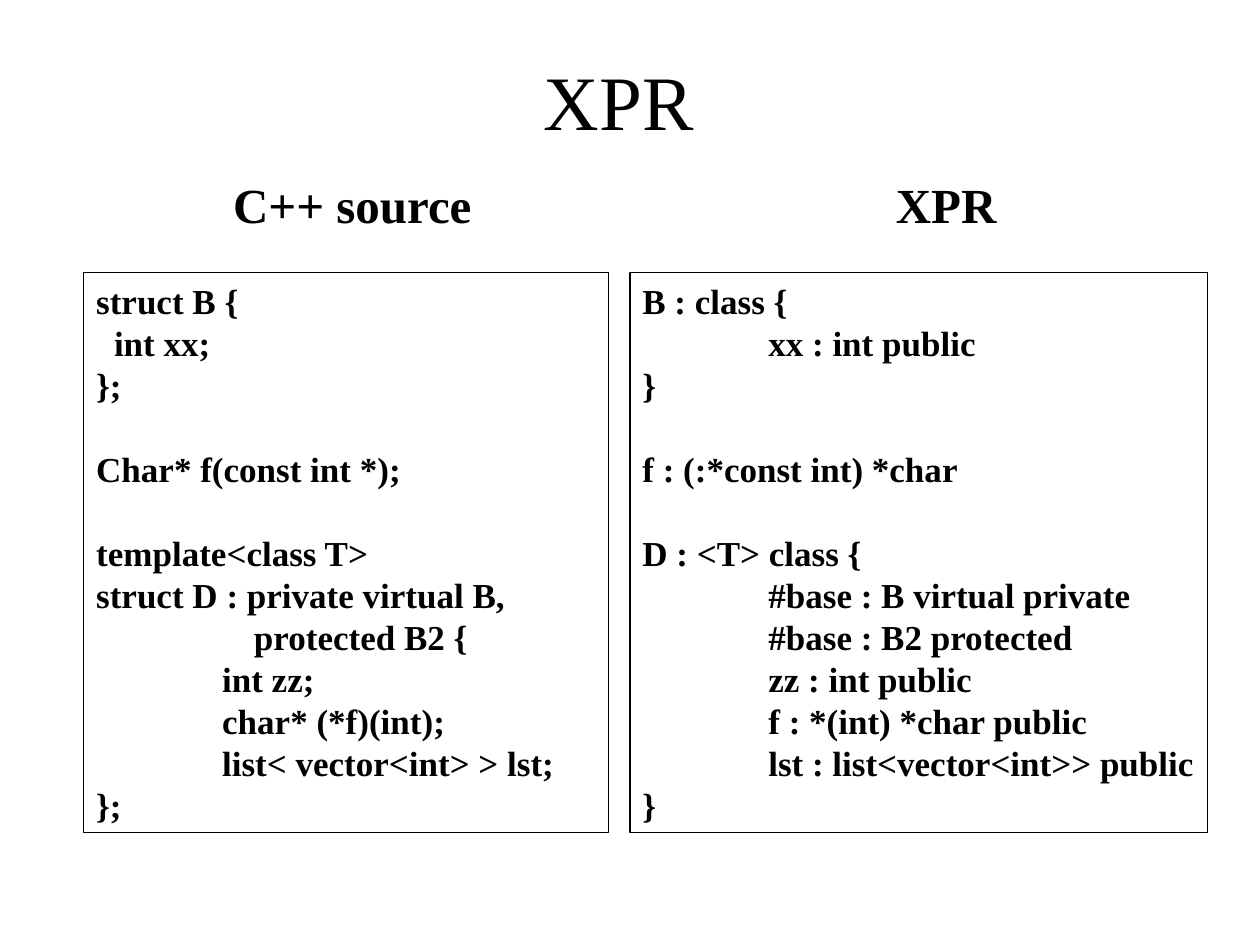
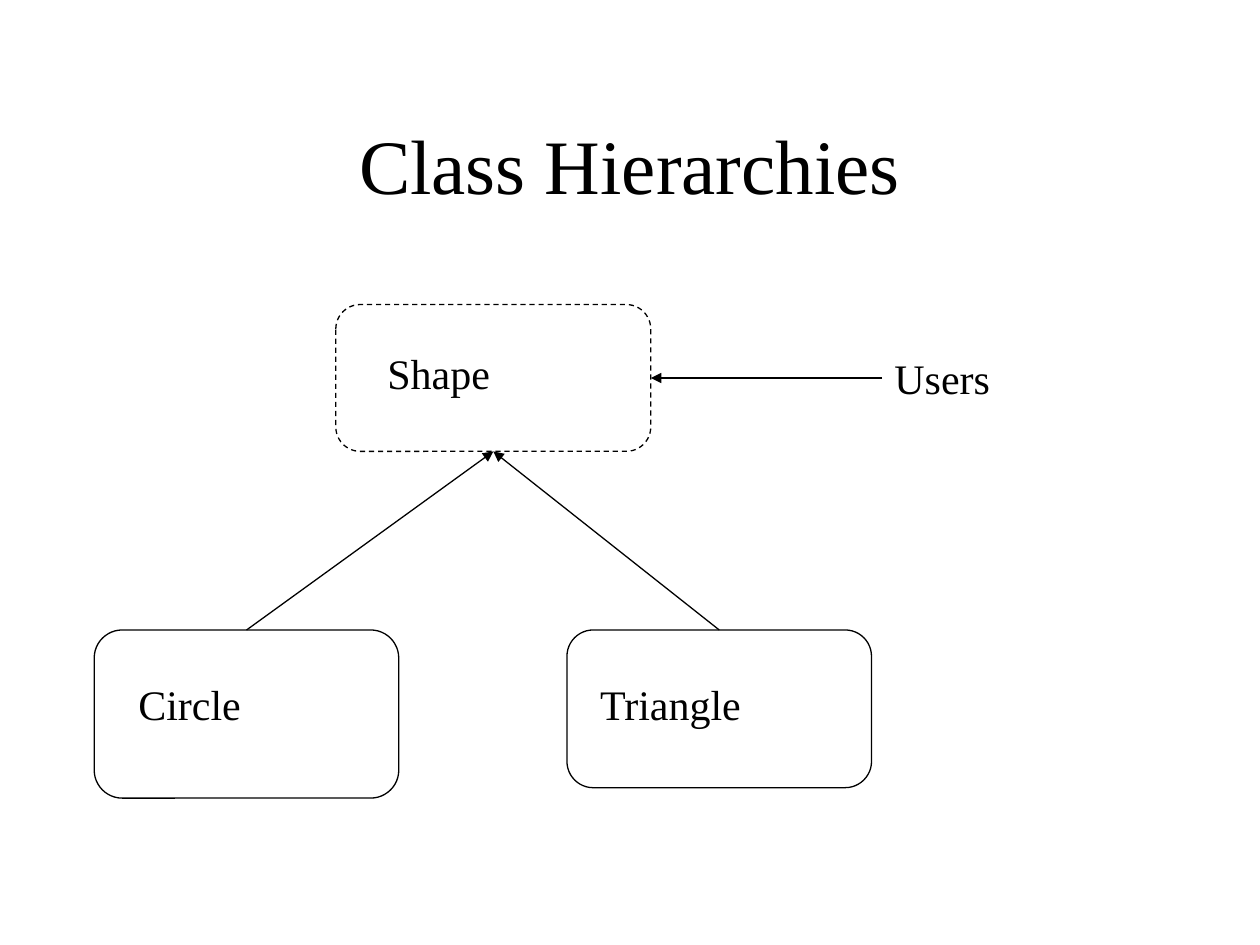
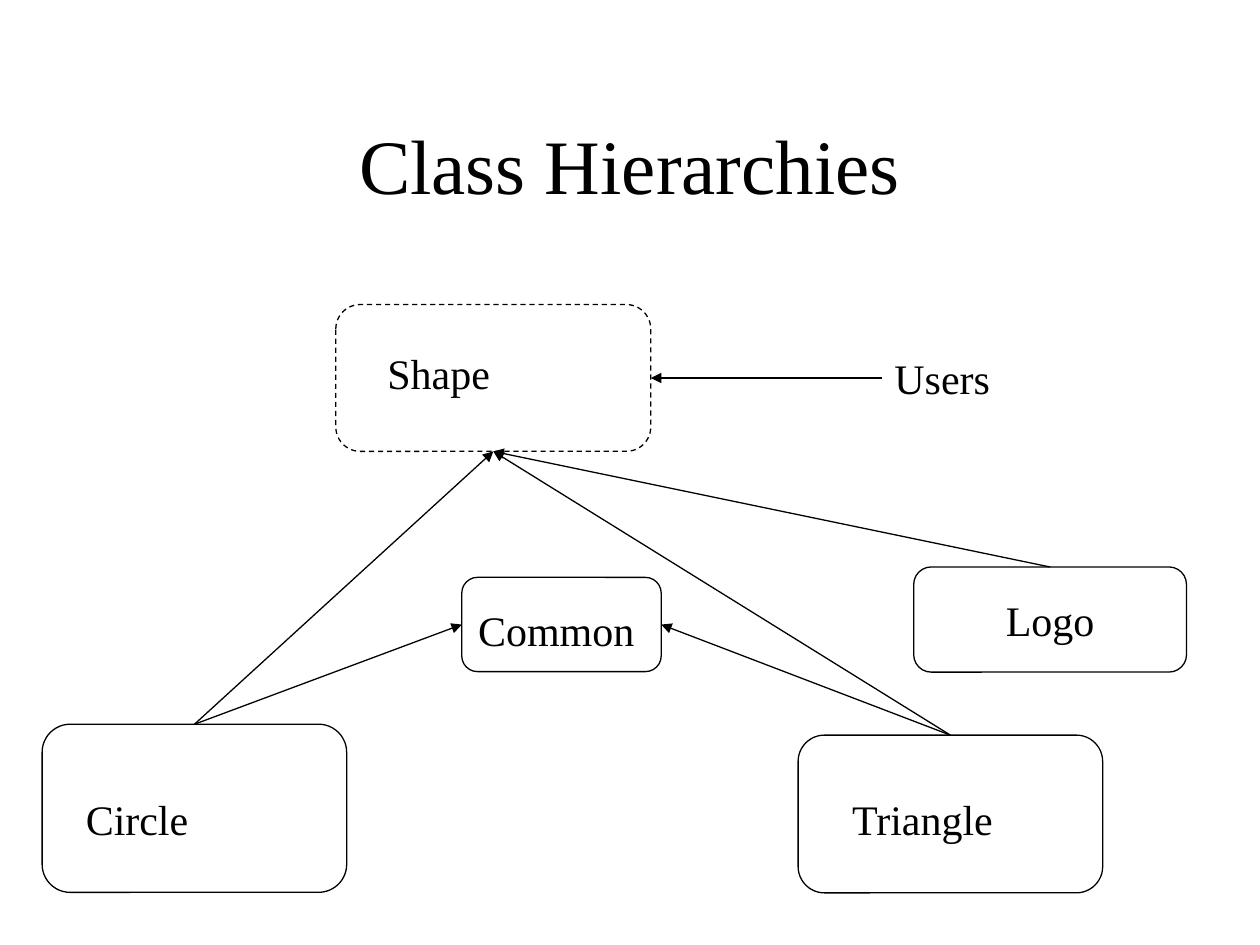
from pptx import Presentation
from pptx import util as u
from pptx.dml.color import RGBColor
from pptx.enum import dml, shapes, text
from pptx.oxml.ns import qn
from lxml import etree

INK, PAPER = "000000", "FFFFFF"
FONT = "Times New Roman"
LEAD = 1.2  # line height per point of text size
TOP, LEFT, BOTTOM, RIGHT = range(4)  # connection sites


def tint(code):
    return RGBColor.from_string(code)


class Deck:
    """Holds the shared style and the current slide."""

    def __init__(self):
        self.prs = Presentation()
        self.prs.slide_width, self.prs.slide_height = u.Cm(25.4), u.Cm(19.05)
        self.slide = None

    def start(self, words, x, y, w, h):
        self.slide = self.prs.slides.add_slide(self.prs.slide_layouts[5])
        fill = self.slide.background.fill
        fill.solid()
        fill.fore_color.rgb = tint(PAPER)
        title = self.slide.shapes.title
        title.left, title.top, title.width, title.height = map(u.Cm, (x, y, w, h))
        frame = title.text_frame
        frame.auto_size = text.MSO_AUTO_SIZE.NONE
        frame.vertical_anchor = text.MSO_ANCHOR.MIDDLE
        self.put(frame.paragraphs[0], words, 44, mid=True)

    def put(self, para, words, size, bold=False, mid=False):
        para.alignment = text.PP_ALIGN.CENTER if mid else text.PP_ALIGN.LEFT
        para.line_spacing = u.Pt(size * LEAD)
        run = para.add_run()
        run.text = words
        font = run.font
        font.name, font.size, font.bold = FONT, u.Pt(size), bold
        font.color.rgb = tint(INK)

    def label(self, words, x, y, w, h=1.27, size=24, bold=False, mid=False, wrap=True):
        frame = self.slide.shapes.add_textbox(*map(u.Cm, (x, y, w, h))).text_frame
        frame.word_wrap = wrap
        self.put(frame.paragraphs[0], words, size, bold, mid)

    def pen(self, line, dash=False):
        line.color.rgb = tint(INK)
        line.width = u.Pt(0.75)
        if dash:
            line.dash_style = dml.MSO_LINE.DASH

    def box(self, x, y, w, h, words=None, dash=False, kind=shapes.MSO_SHAPE.ROUNDED_RECTANGLE):
        shape = self.slide.shapes.add_shape(kind, *map(u.Cm, (x, y, w, h)))
        shape.shadow.inherit = False
        shape.fill.background()
        self.pen(shape.line, dash)
        if words:
            self.put(shape.text_frame.paragraphs[0], words, 24, mid=True)
        return shape

    def panel(self, x, y, w, h, lines):
        """Each line is (indent in cm, words); None leaves a gap before the next."""
        frame = self.box(x, y, w, h, kind=shapes.MSO_SHAPE.RECTANGLE).text_frame
        frame.vertical_anchor = text.MSO_ANCHOR.TOP
        frame.word_wrap = True
        frame.margin_right = 0
        para, gap = frame.paragraphs[0], False
        for num, line in enumerate(lines):
            if line is None:
                gap = True
                continue
            if num:
                para = frame.add_paragraph()
            indent, words = line
            self.put(para, words, 20, bold=True)
            para.space_before = u.Pt(20 * LEAD if gap else 0)
            para._p.get_or_add_pPr().set("marL", str(u.Cm(indent)))
            gap = False

    def arrow(self, goal, side, base=None, spot=(0, 0)):
        """Runs from the top of base, or from a free spot, to a side of goal."""
        x, y = map(u.Cm, spot)
        link = self.slide.shapes.add_connector(shapes.MSO_CONNECTOR.STRAIGHT, x, y, x, y)
        if base is not None:
            link.begin_connect(base, TOP)
        link.end_connect(goal, side)
        self.pen(link.line)
        props = link._element.spPr
        etree.SubElement(props.find(qn("a:ln")), qn("a:tailEnd"), type="triangle")
        etree.SubElement(props, qn("a:effectLst"))

    def tree(self, circle, triangle, names):
        """Shape with its users and two derived classes."""
        self.start("Class Hierarchies", 1.9, 1.7, 21.59, 3.18)
        root = self.box(6.77, 6.14, 6.35, 2.96, dash=True)
        kids = [self.box(*circle, 6.14, 3.39), self.box(*triangle, 6.14, 3.18)]
        for kid in kids:
            self.arrow(root, BOTTOM, kid)
        self.label("Shape", 7.56, 6.88, 4.5)
        for words, spot in zip(("Circle", "Triangle"), names):
            self.label(words, *spot, 4.87)
        self.label("Users", 17.78, 6.99, 5.72)
        self.arrow(root, RIGHT, spot=(17.78, 7.62))
        return root, kids


def main():
    deck = Deck()
    tab = 2.54

    # Source code beside its XPR form
    deck.start("XPR", 0.83, 1.06, 23.28, 1.9)
    deck.panel(1.69, 5.5, 10.58, 11.28, [
        (0, "struct B {"),
        (0.36, "int xx;"),
        (0, "};"),
        None,
        (0, "Char* f(const int *);"),
        None,
        (0, "template<class T>"),
        (0, "struct D : private virtual B,"),
        (3.18, "protected B2 {"),
        (tab, "int zz;"),
        (tab, "char* (*f)(int);"),
        (tab, "list< vector<int> > lst;"),
        (0, "};"),
    ])
    deck.panel(12.7, 5.5, 11.64, 11.28, [
        (0, "B : class {"),
        (tab, "xx : int public"),
        (0, "}"),
        None,
        (0, "f : (:*const int) *char"),
        None,
        (0, "D : <T> class {"),
        (tab, "#base : B virtual private"),
        (tab, "#base : B2 protected"),
        (tab, "zz : int public"),
        (tab, "f : *(int) *char public"),
        (tab, "lst : list<vector<int>> public"),
        (0, "}"),
    ])
    for words, x, w in (("C++ source", 4.45, 5.33), ("XPR", 17.81, 2.54)):
        deck.label(words, x, 3.39, w, 1.45, size=28, bold=True, wrap=False)

    # Simple hierarchy
    deck.tree((1.9, 12.7), (11.43, 12.7), [(2.54, 13.55), (11.85, 13.55)])

    # Hierarchy with a common base and one more class
    root, kids = deck.tree((0.85, 14.6), (16.09, 14.82), [(1.48, 15.88), (16.93, 15.88)])
    common = deck.box(9.31, 11.64, 4.02, 1.9)
    for kid, side in zip(kids, (LEFT, RIGHT)):
        deck.arrow(common, side, kid)
    deck.label("Common", 9.31, 12.07, 3.81, mid=True)
    logo = deck.box(18.42, 11.43, 5.5, 2.12, "Logo")
    deck.arrow(root, BOTTOM, logo)

    deck.prs.save("out.pptx")


if __name__ == "__main__":
    main()
